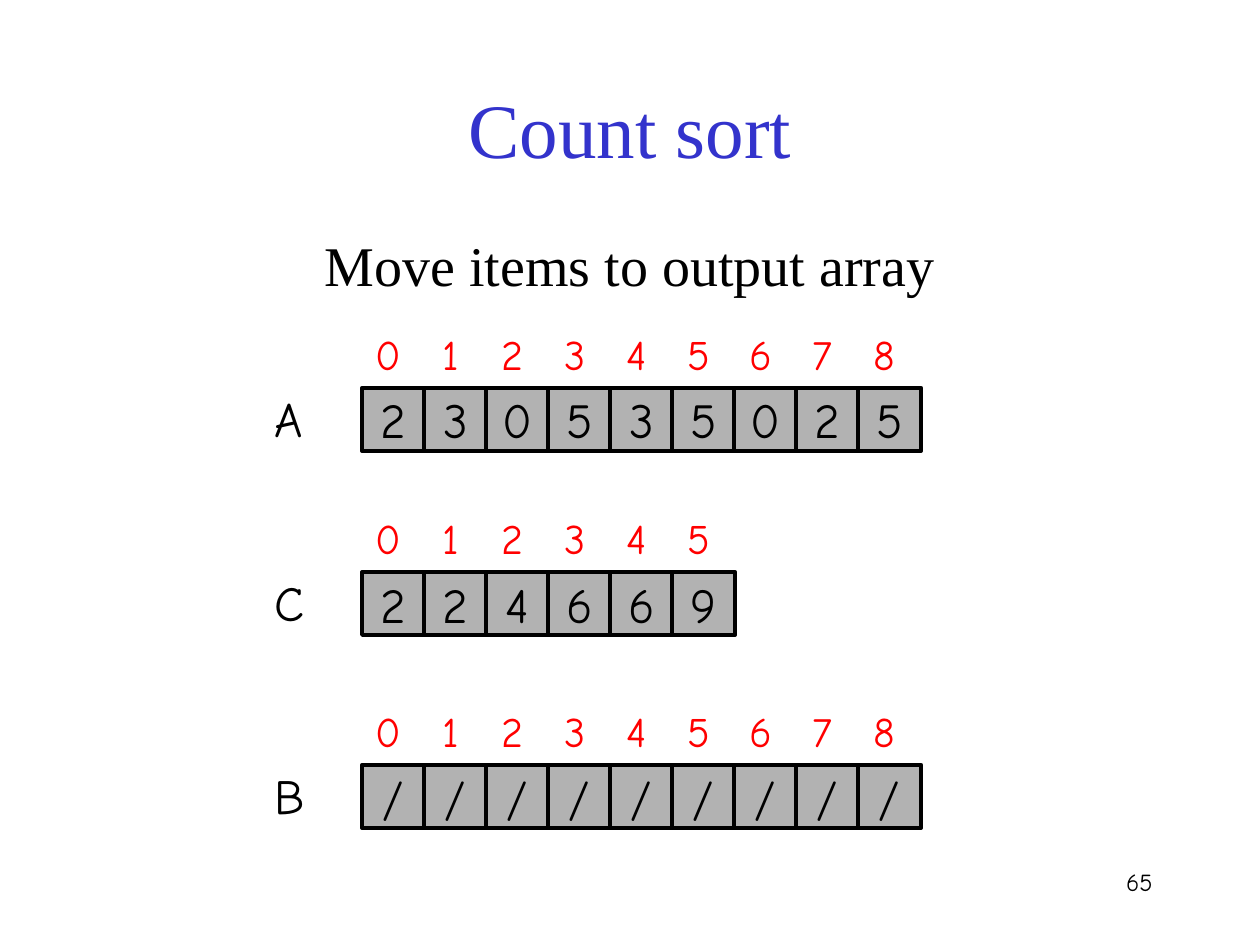
from dataclasses import dataclass

from pptx import Presentation
from pptx.dml.color import RGBColor
from pptx.enum.shapes import MSO_SHAPE
from pptx.enum.text import MSO_ANCHOR, PP_ALIGN
from pptx.util import Cm, Pt

RECTANGLE = MSO_SHAPE.RECTANGLE
TOP, MIDDLE = MSO_ANCHOR.TOP, MSO_ANCHOR.MIDDLE
LEFT, CENTER, RIGHT = PP_ALIGN.LEFT, PP_ALIGN.CENTER, PP_ALIGN.RIGHT

# Content
TITLE = "Count sort"
SUBTITLE = "Move items to output array"
PAGE_NUMBER = "65"
ARRAYS = [  # name, values, top of the cells in cm
    ("A", "230535025", 7.82),
    ("C", "224669", 11.53),
    ("B", "/////////", 15.42),
]


@dataclass(frozen=True)
class Theme:
    serif: str = "Times New Roman"
    hand: str = "Comic Neue"
    ink: str = "000000"
    title: str = "3333CC"
    index: str = "FF0000"
    cell: str = "B2B2B2"
    paper: str = "FFFFFF"
    title_size: float = 44
    subtitle_size: float = 32
    value_size: float = 28
    index_size: float = 24
    page_size: float = 14
    border: float = 2.25


THEME = Theme()

# Grid, in cm
CELL = 1.27
PITCH = 1.25
CELLS_LEFT = 7.3
INDEX_SHIFT, INDEX_RISE = 0.1, 1.32
NAME_LEFT, NAME_RISE = 5.28, 0.12


def write(shape, text, *, size, font=THEME.hand, color=THEME.ink,
          align=CENTER, anchor=TOP, wrap=True):
    frame = shape.text_frame
    frame.word_wrap = wrap
    frame.vertical_anchor = anchor
    paragraph = frame.paragraphs[0]
    paragraph.alignment = align
    run = paragraph.add_run()
    run.text = text
    run.font.name = font
    run.font.size = Pt(size)
    run.font.color.rgb = RGBColor.from_string(color)


def add_label(slide, box, text, **style):
    write(slide.shapes.add_textbox(*map(Cm, box)), text, **style)


def add_squares(shapes, texts, left, top, *, fill, border=None, **style):
    for position, text in enumerate(texts):
        square = shapes.add_shape(RECTANGLE, Cm(left + position * PITCH),
                                  Cm(top), Cm(CELL), Cm(CELL))
        square.shadow.inherit = False
        square.fill.solid()
        square.fill.fore_color.rgb = RGBColor.from_string(fill)
        if border:
            square.line.color.rgb = RGBColor.from_string(THEME.ink)
            square.line.width = Pt(border)
        else:
            square.line.fill.background()
        write(square, text, anchor=MIDDLE, wrap=False, **style)


def add_array(slide, name, values, top):
    # Cells with their values
    add_squares(slide.shapes, values, CELLS_LEFT, top, fill=THEME.cell,
                border=THEME.border, size=THEME.value_size)
    # Array name
    add_label(slide, (NAME_LEFT, top - NAME_RISE, 1.32, 1.45), name,
              size=THEME.value_size, align=LEFT)
    # Index row above the cells
    indices = [str(number) for number in range(len(values))]
    add_squares(slide.shapes.add_group_shape().shapes, indices,
                CELLS_LEFT - INDEX_SHIFT, top - INDEX_RISE,
                fill=THEME.paper, size=THEME.index_size, color=THEME.index)


def main():
    deck = Presentation()
    deck.slide_width, deck.slide_height = Cm(25.4), Cm(19.05)
    slide = deck.slides.add_slide(deck.slide_layouts[5])

    # Heading
    title = slide.shapes.title
    title.left, title.top, title.width, title.height = map(
        Cm, (0, 1.5, 25.4, 2.13))
    write(title, TITLE, size=THEME.title_size, font=THEME.serif,
          color=THEME.title, anchor=MIDDLE)
    add_label(slide, (0, 4.52, 25.4, 2.03), SUBTITLE,
              size=THEME.subtitle_size, font=THEME.serif)

    # Arrays
    for name, values, top in ARRAYS:
        add_array(slide, name, values, top)

    # Page number
    add_label(slide, (18.21, 17.35, 5.28, 1.27), PAGE_NUMBER,
              size=THEME.page_size, align=RIGHT)

    deck.save("out.pptx")


if __name__ == "__main__":
    main()
